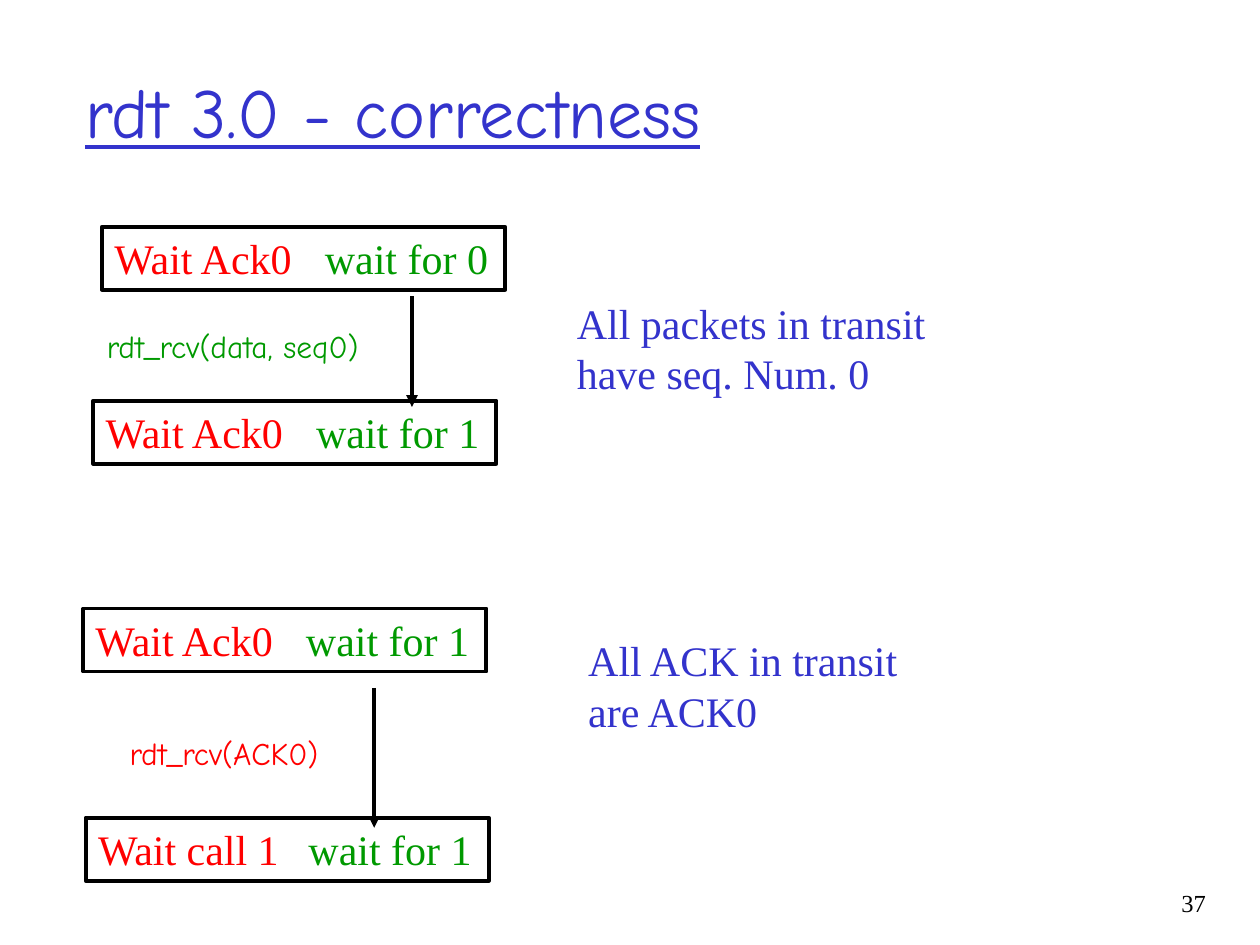
from lxml import etree
from pptx import Presentation
from pptx.dml.color import RGBColor
from pptx.enum.shapes import MSO_CONNECTOR, MSO_SHAPE
from pptx.enum.text import MSO_ANCHOR, PP_ALIGN
from pptx.oxml.ns import qn
from pptx.util import Inches, Pt

STRAIGHT = MSO_CONNECTOR.STRAIGHT
RECTANGLE = MSO_SHAPE.RECTANGLE
TOP, MIDDLE = MSO_ANCHOR.TOP, MSO_ANCHOR.MIDDLE
LEFT, RIGHT = PP_ALIGN.LEFT, PP_ALIGN.RIGHT

HAND, SERIF = "Comic Neue", "Times New Roman"
BLUE, RED, GREEN, BLACK = "3333CC", "FF0000", "009900", "000000"

presentation = Presentation()
presentation.slide_width, presentation.slide_height = Inches(10), Inches(7.5)
slide = presentation.slides.add_slide(presentation.slide_layouts[6])

# The slide is a grid of 10 columns by 7.5 rows.
COLUMN = presentation.slide_width / 10
ROW = presentation.slide_height / 7.5
STATE_WIDTH, STATE_HEIGHT = 3.2, 0.5


def grid(*lengths):
    """Turn alternating column and row counts into slide lengths."""
    return [round(n * (ROW if i % 2 else COLUMN)) for i, n in enumerate(lengths)]


def write(shape, pieces, font_name, size, wrap=True, align=LEFT, anchor=TOP):
    """Fill the shape with one paragraph of (text, colour) pieces."""
    frame = shape.text_frame
    frame.word_wrap = wrap
    frame.vertical_anchor = anchor
    paragraph = frame.paragraphs[0]
    paragraph.alignment = align
    for text, color in pieces:
        run = paragraph.add_run()
        run.text = text
        run.font.name = font_name
        run.font.size = Pt(size)
        run.font.color.rgb = RGBColor.from_string(color)
    return paragraph


title_box = slide.shapes.add_textbox(*grid(0.58, 0.25, 8.5, 1.25))
title = write(title_box, [("rdt 3.0 - correctness", BLUE)], HAND, 40, anchor=MIDDLE)
title.runs[0].font.underline = True

# Each transition: states (left, top, sender, receiver), arrow (x, top, bottom),
# event (left, top, width, text, colour)
transitions = [
    ([(0.81, 1.8, "Wait Ack0", "wait for 0"), (0.74, 3.18, "Wait Ack0", "wait for 1")],
     (3.27, 2.35, 3.23),
     (0.75, 2.55, 2.22, "rdt_rcv(data, seq0)", GREEN)),
    ([(0.66, 4.83, "Wait Ack0", "wait for 1"), (0.68, 6.49, "Wait call 1", "wait for 1")],
     (2.97, 5.46, 6.57),
     (0.93, 5.78, 1.71, "rdt_rcv(ACK0)", RED)),
]

for states, (arrow_x, arrow_top, arrow_bottom), event in transitions:
    group = slide.shapes.add_group_shape()

    for left, top, sender, receiver in states:
        state = group.shapes.add_shape(
            RECTANGLE, *grid(left, top, STATE_WIDTH, STATE_HEIGHT))
        state.shadow.inherit = False
        state.fill.background()
        state.line.color.rgb = RGBColor.from_string(BLACK)
        state.line.width = Pt(2.25)
        paragraph = write(state, [(sender + "\t", RED), (receiver, GREEN)], SERIF, 24)
        # The receiver's state starts at a tab stop
        tab_list = etree.SubElement(paragraph._p.get_or_add_pPr(), qn("a:tabLst"))
        etree.SubElement(tab_list, qn("a:tab"), pos=str(grid(1.67)[0]), algn="l")

    arrow = group.shapes.add_connector(
        STRAIGHT, *grid(arrow_x, arrow_top, arrow_x, arrow_bottom))
    arrow.line.color.rgb = RGBColor.from_string(BLACK)
    arrow.line.width = Pt(2.25)
    etree.SubElement(arrow.line._get_or_add_ln(), qn("a:tailEnd"), type="triangle")
    etree.SubElement(arrow._element.spPr, qn("a:effectLst"))

    left, top, width, text, color = event
    event_box = group.shapes.add_textbox(*grid(left, top, width, 0.4))
    write(event_box, [(text, color)], HAND, 18, wrap=False)

for left, top, width, text in [
    (4.48, 2.31, 3.36, "All packets in transit have seq. Num. 0"),
    (4.57, 4.99, 2.86, "All ACK in transit are ACK0"),
]:
    claim_box = slide.shapes.add_textbox(*grid(left, top, width, 0.9))
    write(claim_box, [(text, BLUE)], SERIF, 24)

number_box = slide.shapes.add_textbox(*grid(8.93, 7, 0.74, 0.5))
write(number_box, [("37", BLACK)], SERIF, 14, align=RIGHT)

presentation.save("out.pptx")
